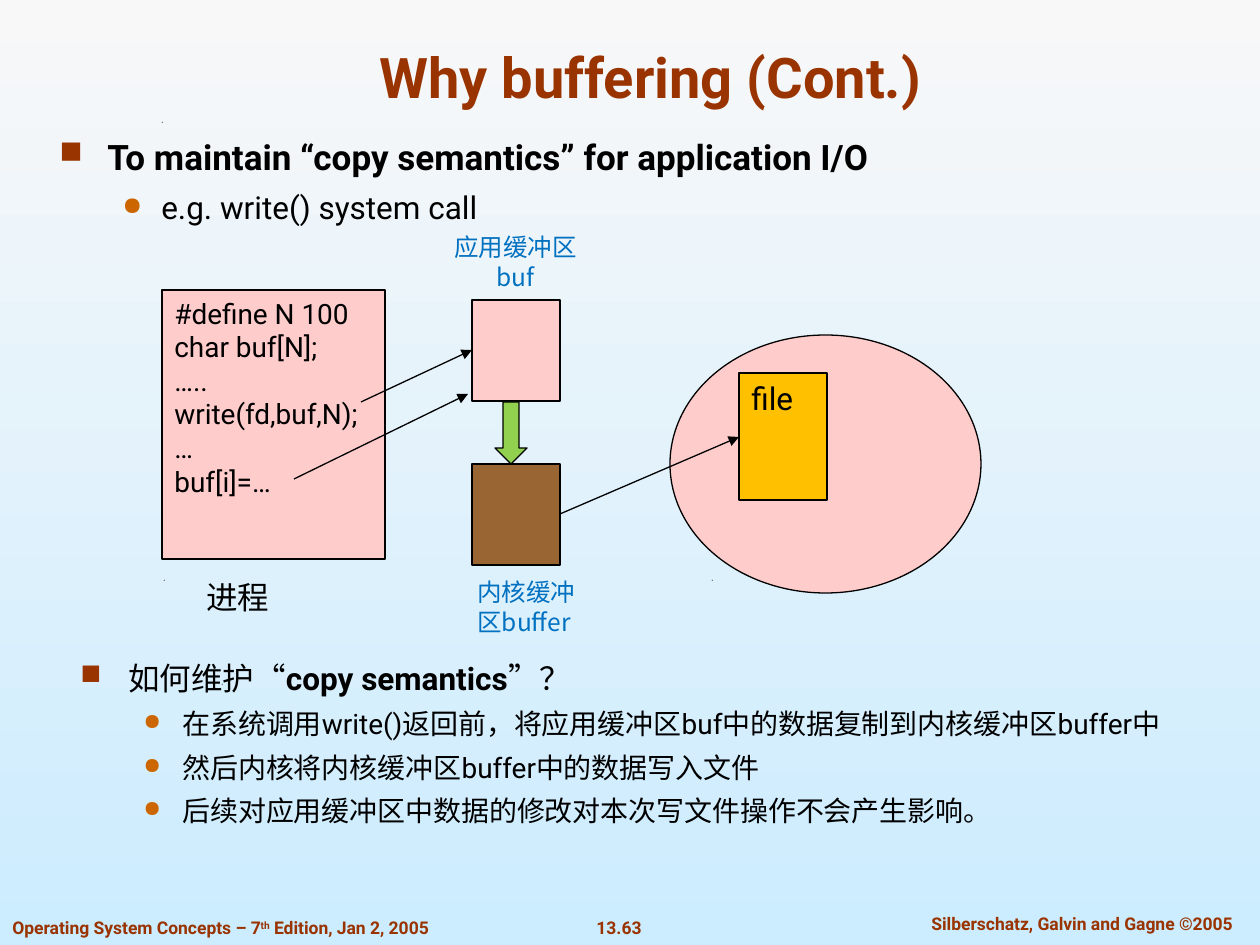
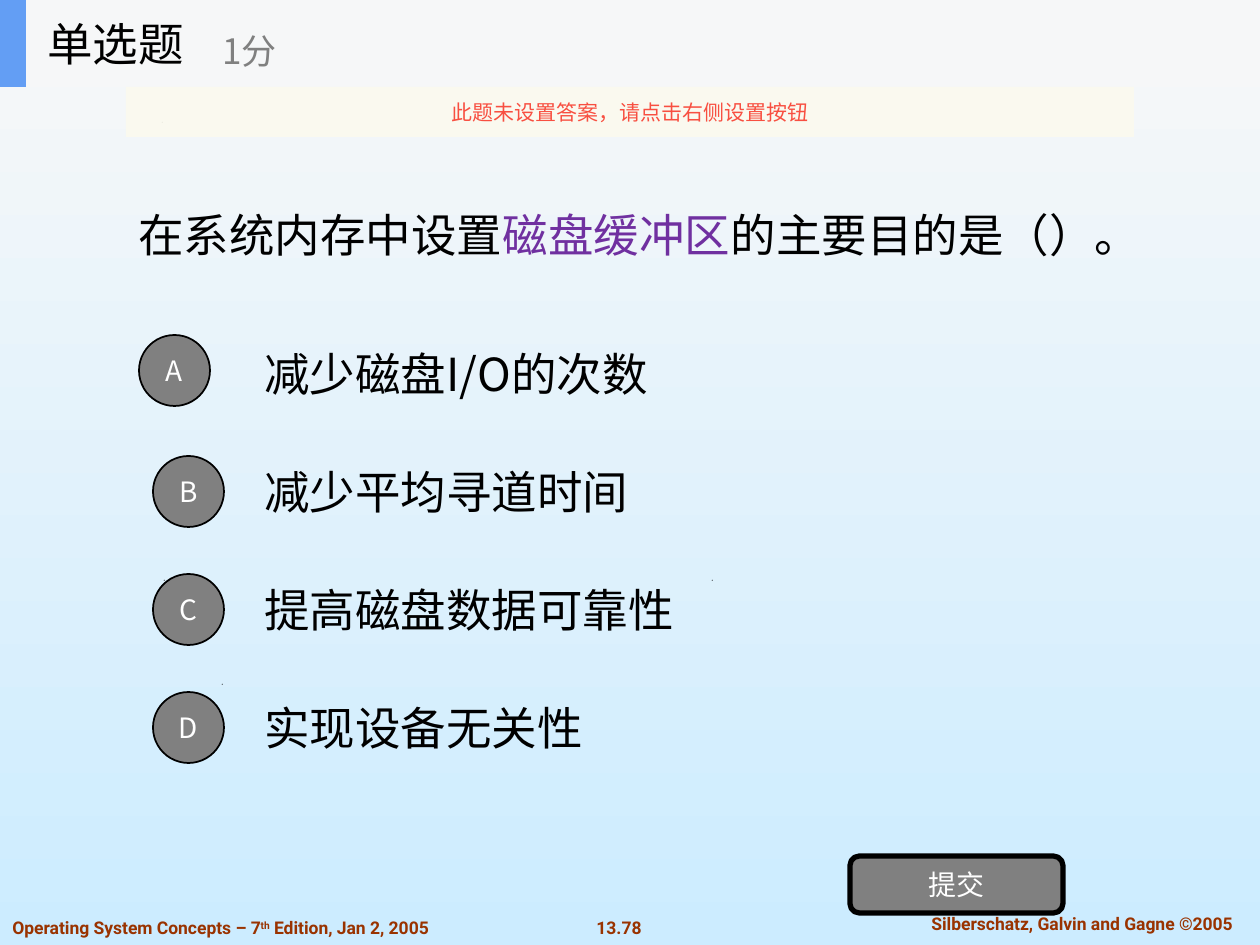
from lxml.etree import SubElement
from pptx import Presentation
from pptx.dml.color import RGBColor
from pptx.enum.shapes import MSO_CONNECTOR as LINE, MSO_SHAPE as SHAPE
from pptx.enum.text import MSO_ANCHOR as ANCHOR, PP_ALIGN as ALIGN
from pptx.oxml.ns import qn
from pptx.util import Emu, Pt

PX = 914400 / 126
LATIN, CJK = "Roboto", "Noto Sans CJK SC"
COLORS = {
    "sky_top": "F8F8F8", "sky_bottom": "CCECFF", "rust": "993300",
    "orange": "CC6600", "black": "000000", "white": "FFFFFF",
    "pink": "FFCCCC", "gold": "FFC000", "brown": "996633",
    "green": "92D050", "blue": "0070C0", "purple": "7030A0",
    "gray": "808080", "header": "F6F7F8", "tab": "639EF4",
    "notice": "FBFAEF", "red": "F84F41",
}
BULLETS = [("■", "rust", 90, 48, -48), ("●", "orange", 80, 102, -39)]
SPECKS = [(222, 684), (164, 580), (712, 580), (162, 122)]


def px(n):
    return Emu(round(n * PX))


def rgb(name):
    return RGBColor.from_string(COLORS[name])


class Deck:
    def __init__(self):
        self.prs = Presentation()
        self.prs.slide_width, self.prs.slide_height = px(1260), px(945)
        self.s = None

    def slide(self, number):
        self.s = self.prs.slides.add_slide(self.prs.slide_layouts[6])
        fill = self.s.background.fill
        fill.gradient()
        fill.gradient_angle = 270
        for stop, name, pos in zip(fill.gradient_stops, ("sky_top", "sky_bottom"), (0, 1)):
            stop.color.rgb = rgb(name)
            stop.position = pos
        footer = dict(size=10, color="rust", bold=True)
        self.text((584, 911, 70, 34), [[number]], align=ALIGN.CENTER, wrap=False, **footer)
        self.text((895, 907, 374, 34), [["Silberschatz, Galvin and Gagne ©2005"]],
                  align=ALIGN.CENTER, **footer)
        self.text((0, 911, 465, 34),
                  [["Operating System Concepts – 7", ("th", {"base": 30}),
                    " Edition, Jan 2, 2005"]], wrap=False, **footer)
        for x, y in SPECKS:
            self.speck(x, y)

    def speck(self, x, y):
        fb = self.s.shapes.build_freeform(px(x), px(y))
        fb.add_line_segments([(px(x + 1), px(y)), (px(x), px(y + 1))])
        self.paint(fb.convert_to_shape(), "black")

    def paint(self, sp, fill, line=None, alpha=None):
        sp.shadow.inherit = False
        sp.fill.solid()
        sp.fill.fore_color.rgb = rgb(fill)
        if alpha:
            clr = sp._element.spPr.find(qn("a:solidFill"))[0]
            SubElement(clr, qn("a:alpha"), val=str(alpha * 1000))
        if line:
            sp.line.color.rgb = rgb("black")
            sp.line.width = Pt(line)
        else:
            sp.line.fill.background()

    def run(self, p, text, size, font, color, bold=False, base=None):
        r = p.add_run()
        r.text = text
        f = r.font
        f.size, f.name, f.bold = Pt(size), font, bold
        f.color.rgb = rgb(color)
        rPr = r._r.get_or_add_rPr()
        SubElement(rPr, qn("a:ea"), typeface=CJK)
        if base:
            rPr.set("baseline", str(base * 1000))

    def bullet(self, p, level):
        char, color, percent, margin, indent = BULLETS[level]
        pPr = p._p.get_or_add_pPr()
        pPr.set("marL", str(px(margin)))
        pPr.set("indent", str(px(indent)))
        p.level = level
        clr = SubElement(pPr, qn("a:buClr"))
        SubElement(clr, qn("a:srgbClr"), val=COLORS[color])
        SubElement(pPr, qn("a:buSzPct"), val=str(percent * 1000))
        SubElement(pPr, qn("a:buChar"), char=char)

    def add_paras(self, sp, paras, size=18, font=LATIN, color="black", bold=False,
                  align=ALIGN.LEFT, anchor=ANCHOR.TOP, wrap=True, tight=False):
        tf = sp.text_frame
        tf.word_wrap, tf.vertical_anchor = wrap, anchor
        for i, runs in enumerate(paras):
            p = tf.paragraphs[0] if i == 0 else tf.add_paragraph()
            p.alignment = align
            if tight:
                p.line_spacing = Pt(size * 1.2)
            for item in runs:
                text, extra = (item, {}) if isinstance(item, str) else item
                style = dict(size=size, font=font, color=color, bold=bold)
                self.run(p, text, **{**style, **extra})

    def text(self, box, paras, **style):
        sp = self.s.shapes.add_textbox(*map(px, box))
        self.add_paras(sp, paras, **style)

    def outline(self, box, items):
        tf = self.s.shapes.add_textbox(*map(px, box)).text_frame
        tf.word_wrap = True
        for i, (level, size, runs) in enumerate(items):
            p = tf.paragraphs[0] if i == 0 else tf.add_paragraph()
            self.bullet(p, level)
            p.line_spacing = Pt(size * 1.2)
            if i:
                p.space_before = Pt(size * 0.35)
            for text, bold in runs:
                self.run(p, text, size, LATIN, "black", bold)

    def shape(self, kind, box, fill, line=None, paras=None, alpha=None, **style):
        sp = self.s.shapes.add_shape(kind, *map(px, box))
        self.paint(sp, fill, line, alpha)
        if paras:
            self.add_paras(sp, paras, wrap=False, **style)

    def arrow(self, *ends):
        c = self.s.shapes.add_connector(LINE.STRAIGHT, *map(px, ends))
        c.line.color.rgb = rgb("black")
        c.line.width = Pt(0.75)
        spPr = c._element.spPr
        SubElement(spPr.find(qn("a:ln")), qn("a:tailEnd"), type="triangle")
        SubElement(spPr, qn("a:effectLst"))


def buffering(d):
    d.slide("13.63")
    d.text((94, 32, 1113, 84), [["Why buffering (Cont.)"]], size=32, color="rust",
           bold=True, align=ALIGN.CENTER, anchor=ANCHOR.BOTTOM)
    d.outline((47, 129, 1160, 123), [
        (0, 20, [("To maintain “copy semantics” for application I/O", True)]),
        (1, 18, [("e.g. write() system call", False)]),
    ])
    code = ["#define N 100", "char buf[N];", "…..", "write(fd,buf,N);", "…", "buf[i]=…"]
    d.shape(SHAPE.FLOWCHART_PROCESS, (162, 290, 223, 269), "pink", 0.75,
            [[line] for line in code], size=16, tight=True)
    d.text((194, 572, 101, 50), [["进程"]], font=CJK, tight=True)
    d.shape(SHAPE.FLOWCHART_PROCESS, (472, 300, 88, 101), "pink", 0.75)
    d.arrow(361, 402, 472, 350)
    d.shape(SHAPE.OVAL, (670, 335, 311, 258), "pink", 0.75)
    d.shape(SHAPE.RECTANGLE, (739, 373, 88, 127), "gold", 0.75, [["file"]])
    d.arrow(560, 514, 739, 437)
    d.outline((68, 653, 1160, 189), [
        (0, 18, [("如何维护“", False), ("copy semantics", True), ("”？", False)]),
        *[(1, 16, [(line, False)]) for line in (
            "在系统调用write()返回前，将应用缓冲区buf中的数据复制到内核缓冲区buffer中",
            "然后内核将内核缓冲区buffer中的数据写入文件",
            "后续对应用缓冲区中数据的修改对本次写文件操作不会产生影响。")],
    ])
    d.shape(SHAPE.FLOWCHART_PROCESS, (472, 464, 88, 101), "brown", 0.75)
    label = dict(size=14, font=CJK, color="blue", tight=True)
    d.text((465, 571, 127, 72), [["内核缓冲区buffer"]], **label)
    d.shape(SHAPE.DOWN_ARROW, (495, 402, 32, 62), "green", 0.75)
    d.arrow(294, 479, 468, 394)
    d.text((440, 226, 151, 72), [["应用缓冲区"], ["buf"]], align=ALIGN.CENTER, **label)


def quiz(d):
    d.slide("13.78")
    large = dict(size=26, font=CJK, anchor=ANCHOR.MIDDLE)
    button = dict(size=16, font=CJK, color="white", align=ALIGN.CENTER,
                  anchor=ANCHOR.MIDDLE)
    d.text((126, 87, 1008, 295),
           [["在系统内存中设置", ("磁盘缓冲区", {"color": "purple"}),
             "的主要目的是（）。"]], **large)
    answers = ["减少磁盘I/O的次数", "减少平均寻道时间", "提高磁盘数据可靠性", "实现设备无关性"]
    for i, (letter, answer) in enumerate(zip("ABCD", answers)):
        y = 329 + 118 * i
        d.text((252, y, 882, 88), [[answer]], **large)
        left, top = (139, y + 6) if i == 0 else (153, y + 9)
        d.shape(SHAPE.OVAL, (left, top, 71, 71), "gray", 1, [[letter]], **button)
    d.shape(SHAPE.ROUNDED_RECTANGLE, (850, 856, 213, 57), "gray", 3, [["提交"]], **button)
    d.shape(SHAPE.RECTANGLE, (0, 0, 1260, 87), "header")
    d.shape(SHAPE.RECTANGLE, (0, 0, 26, 87), "tab")
    d.text((35, 0, 262, 87), [["单选题"]], wrap=False, **large)
    d.text((210, 15, 315, 71), [["1分"]], size=20, font=CJK, color="gray",
           anchor=ANCHOR.MIDDLE, wrap=False)
    d.shape(SHAPE.RECTANGLE, (126, 87, 1008, 50), "notice", alpha=90,
            paras=[["此题未设置答案，请点击右侧设置按钮"]],
            **{**button, "size": 12, "color": "red"})


def main():
    d = Deck()
    buffering(d)
    quiz(d)
    d.prs.save("out.pptx")


if __name__ == "__main__":
    main()
